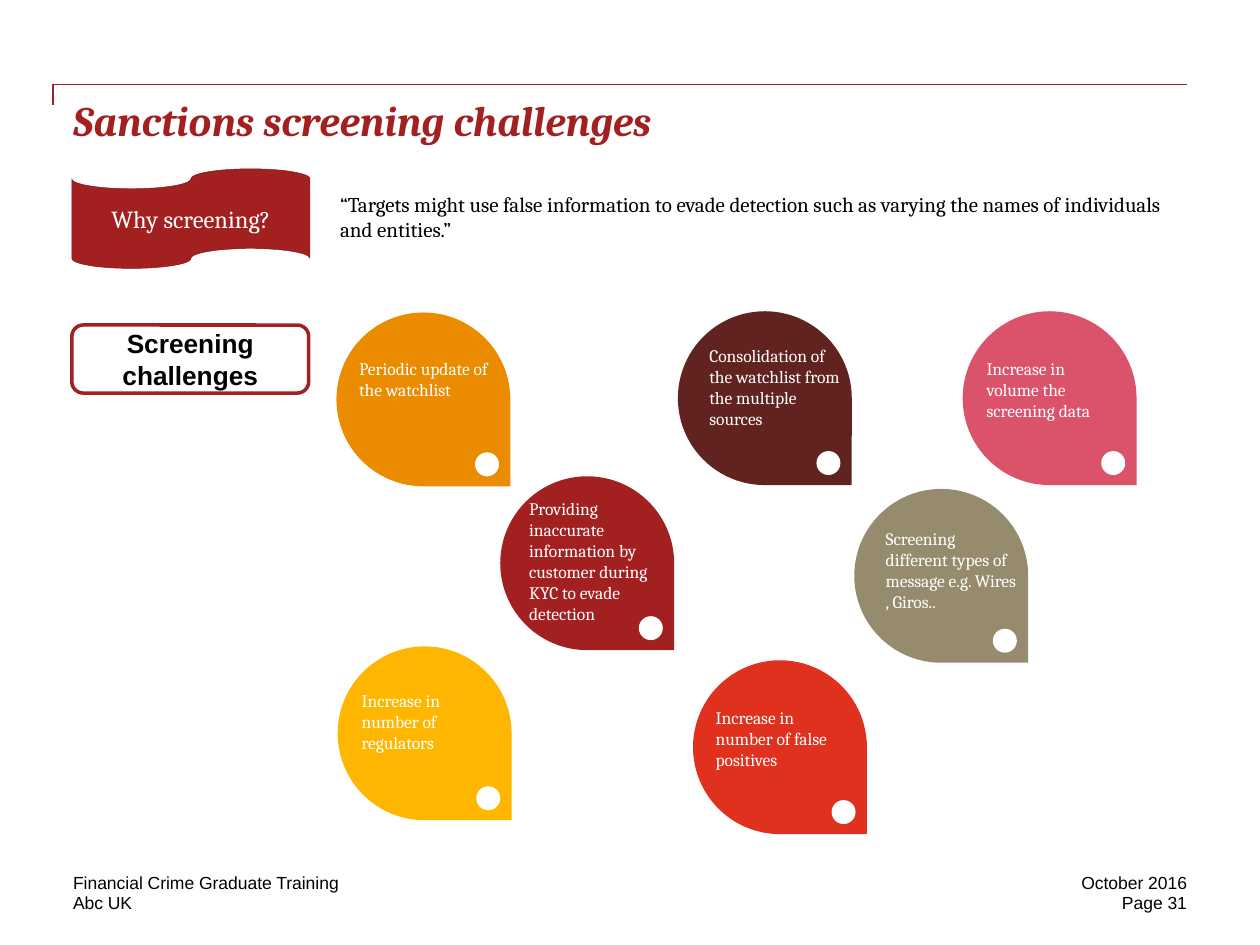
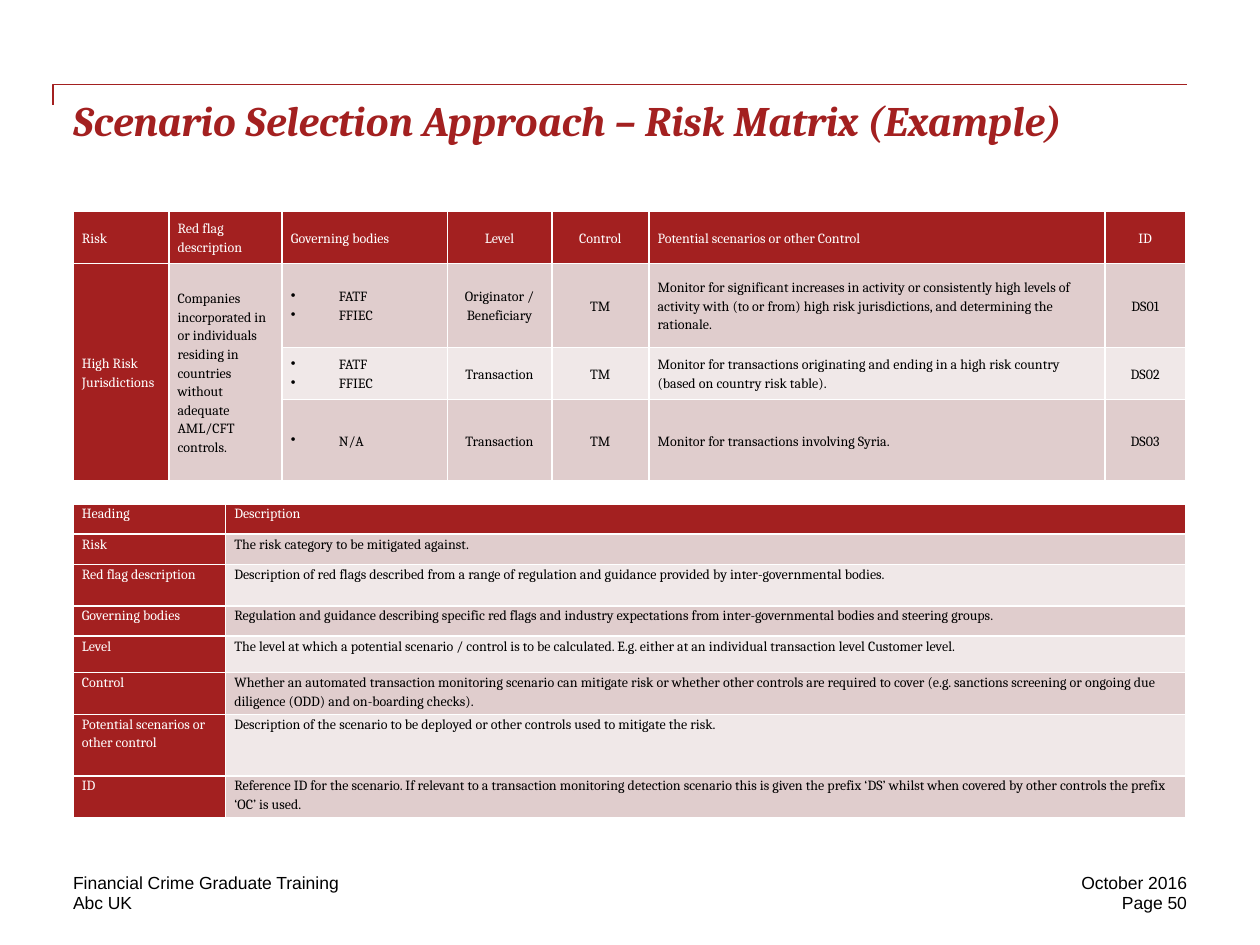
from lxml.etree import SubElement
from pptx import Presentation
from pptx.dml.color import RGBColor
from pptx.enum.shapes import MSO_SHAPE
from pptx.enum.text import MSO_ANCHOR, PP_ALIGN
from pptx.oxml.ns import qn
from pptx.util import Pt

PX = 9144  # 100 px to the inch
COLORS = {
    "red": "A32020", "dark red": "791818", "maroon": "602320",
    "orange": "EB8C00", "yellow": "FFB600", "pink": "DB536A",
    "scarlet": "E0301E", "khaki": "968C6D", "band": "E0CDCD",
    "light band": "F0E8E8", "white": "FFFFFF", "black": "000000",
}
RGB = {name: RGBColor.from_string(value) for name, value in COLORS.items()}


def add_shape(shapes, kind, left, top, width, height, fill, line=None, line_width=1):
    shape = shapes.add_shape(kind, left * PX, top * PX, width * PX, height * PX)
    shape.shadow.inherit = False
    shape.fill.solid()
    shape.fill.fore_color.rgb = RGB[fill]
    if line:
        shape.line.color.rgb = RGB[line]
        shape.line.width = Pt(line_width)
    else:
        shape.line.fill.background()
    return shape


def write_text(text_frame, text, size, font="Cambria", color="black",
               align=PP_ALIGN.LEFT, bold=False, italic=False, margins=(0, 0)):
    text_frame.word_wrap = True
    text_frame.margin_left = text_frame.margin_right = margins[0] * PX
    text_frame.margin_top = text_frame.margin_bottom = margins[1] * PX
    text_frame.text = text
    for paragraph in text_frame.paragraphs:
        paragraph.alignment = align
        for run in paragraph.runs:
            run.font.name = font
            run.font.size = Pt(size)
            run.font.color.rgb = RGB[color]
            run.font.bold = bold
            run.font.italic = italic


presentation = Presentation()
presentation.slide_width = 1000 * PX
presentation.slide_height = 750 * PX

# Shared frame: corner rule, title and footers
slides = []
for title, page in [
    ("Sanctions screening challenges", 31),
    ("Scenario Selection Approach – Risk Matrix (Example)", 50),
]:
    slide = presentation.slides.add_slide(presentation.slide_layouts[6])
    slides.append(slide)

    builder = slide.shapes.build_freeform(42, 83, scale=PX)
    builder.add_line_segments([(42, 67), (942, 67)], close=False)
    corner_rule = builder.convert_to_shape()
    corner_rule.shadow.inherit = False
    corner_rule.fill.background()
    corner_rule.line.color.rgb = RGB["red"]
    corner_rule.line.width = Pt(1)

    title_box = slide.shapes.add_textbox(58 * PX, 75 * PX, 883 * PX, 100 * PX)
    write_text(title_box.text_frame, title, 24, color="red", bold=True, italic=True)

    for left, top, width, align, text in [
        (58, 692, 575, PP_ALIGN.LEFT, "Financial Crime Graduate Training"),
        (58, 708, 283, PP_ALIGN.LEFT, "Abc UK"),
        (775, 692, 167, PP_ALIGN.RIGHT, "October 2016"),
        (775, 708, 167, PP_ALIGN.RIGHT, f"Page {page}"),
    ]:
        footer = slide.shapes.add_textbox(left * PX, top * PX, width * PX, 17 * PX)
        write_text(footer.text_frame, text, 10, "Arial", align=align)

challenges_slide, matrix_slide = slides

# Slide 1: question and quotation
shapes = challenges_slide.shapes
question = add_shape(shapes, MSO_SHAPE.FLOWCHART_PUNCHED_TAPE, 57, 134, 189, 79,
                     "red", "dark red", 0.25)
question.text_frame.vertical_anchor = MSO_ANCHOR.MIDDLE
write_text(question.text_frame, "Why screening?", 14, color="white",
           align=PP_ALIGN.CENTER, margins=(10, 5))

quotation = shapes.add_textbox(260 * PX, 147 * PX, 681 * PX, 50 * PX)
write_text(quotation.text_frame,
           "“Targets might use false information to evade detection such as "
           "varying the names of individuals and entities.”", 12, margins=(10, 5))

challenges_label = add_shape(shapes, MSO_SHAPE.ROUNDED_RECTANGLE, 57, 258, 188, 54,
                             "white", "red", 2)
challenges_label.text_frame.vertical_anchor = MSO_ANCHOR.MIDDLE
write_text(challenges_label.text_frame, "Screening challenges", 15, "Arial",
           align=PP_ALIGN.CENTER, bold=True, margins=(7, 4))

# Slide 1: teardrops, each with a dot and a text (offset from the drop, width)
for left, top, color, text_x, text_y, text_width, text in [
    (538, 247, "maroon", 25, 27, 104,
     "Consolidation of the watchlist from the multiple sources"),
    (267, 248, "orange", 18, 36, 104, "Periodic update of the watchlist"),
    (678, 388, "khaki", 25, 31, 104,
     "Screening different types of message e.g. Wires , Giros.."),
    (397, 378, "red", 23, 17, 97,
     "Providing inaccurate information by customer during KYC to evade detection"),
    (764, 247, "pink", 19, 37, 104, "Increase in volume the screening data"),
    (550, 524, "scarlet", 18, 37, 104, "Increase in number of false positives"),
    (268, 513, "yellow", 19, 35, 108, "Increase in number of regulators"),
]:
    group = shapes.add_group_shape()
    drop = add_shape(group.shapes, MSO_SHAPE.TEAR, left, top, 138, 138, color)
    drop.rotation = 90
    add_shape(group.shapes, MSO_SHAPE.OVAL, left + 110, top + 111, 19, 19, "white")
    caption = group.shapes.add_textbox((left + text_x) * PX, (top + text_y) * PX,
                                       text_width * PX, 67 * PX)
    write_text(caption.text_frame, text, 10, color="white")

# Slide 2: contents of the two tables
risk_matrix = [
    ["Risk", "Red flag description", "Governing bodies", "Level", "Control",
     "Potential scenarios or other Control", "ID"],
    ["High Risk Jurisdictions",
     "Companies incorporated in or individuals residing in countries without "
     "adequate AML/CFT controls.",
     "FATF\nFFIEC", "Originator / Beneficiary", "TM",
     "Monitor for significant increases in activity or consistently high levels of "
     "activity with (to or from) high risk jurisdictions, and determining the rationale.",
     "DS01"],
    ["", "", "FATF\nFFIEC", "Transaction", "TM",
     "Monitor for transactions originating and ending in a high risk country "
     "(based on country risk table).", "DS02"],
    ["", "", "N/A", "Transaction", "TM",
     "Monitor for transactions involving Syria.", "DS03"],
]
headings = [
    ["Heading", "Description"],
    ["Risk", "The risk category to be mitigated against."],
    ["Red flag description",
     "Description of red flags described from a range of regulation and guidance "
     "provided by inter-governmental bodies."],
    ["Governing bodies",
     "Regulation and guidance describing specific red flags and industry expectations "
     "from inter-governmental bodies and steering groups."],
    ["Level",
     "The level at which a potential scenario / control is to be calculated. "
     "E.g. either at an individual transaction level Customer level."],
    ["Control",
     "Whether an automated transaction monitoring scenario can mitigate risk or whether "
     "other controls are required to cover (e.g. sanctions screening or ongoing due "
     "diligence (ODD) and on-boarding checks)."],
    ["Potential scenarios or other control",
     "Description of the scenario to be deployed or other controls used to mitigate "
     "the risk."],
    ["ID",
     "Reference ID for the scenario. If relevant to a transaction monitoring detection "
     "scenario this is given the prefix ‘DS’ whilst when covered by other controls the "
     "prefix ‘OC’ is used."],
]

# Slide 2: tables with red headings and banded rows
for top, widths, heights, anchor, margin_y, centred, bulleted, merged, contents in [
    (168, [76, 90, 131, 83, 77, 362, 64], [41, 67, 41, 65], MSO_ANCHOR.MIDDLE, 4,
     (3, 4, 6), (2,), (0, 1), risk_matrix),
    (400, [121, 762], [24, 24, 33, 24, 29, 33, 49, 33], MSO_ANCHOR.TOP, 0,
     (), (), (), headings),
]:
    frame = matrix_slide.shapes.add_table(
        len(heights), len(widths), 58 * PX, top * PX, sum(widths) * PX, sum(heights) * PX)
    table = frame.table
    table.first_row = table.horz_banding = False
    for column, width in zip(table.columns, widths):
        column.width = width * PX
    for row, height in zip(table.rows, heights):
        row.height = height * PX

    for row_index, row_texts in enumerate(contents):
        for column_index, text in enumerate(row_texts):
            cell = table.cell(row_index, column_index)
            heading = row_index == 0 or column_index == 0
            band = "band" if row_index % 2 else "light band"
            cell.vertical_anchor = anchor
            cell.margin_left = cell.margin_right = 7 * PX
            cell.margin_top = cell.margin_bottom = margin_y * PX

            # White borders go before the fill
            properties = cell._tc.get_or_add_tcPr()
            for side in ("a:lnL", "a:lnR", "a:lnT", "a:lnB"):
                border = SubElement(properties, qn(side), w=str(Pt(1)))
                border_fill = SubElement(border, qn("a:solidFill"))
                SubElement(border_fill, qn("a:srgbClr"), val=COLORS["white"])
            cell.fill.solid()
            cell.fill.fore_color.rgb = RGB["red" if heading else band]

            if not text:
                continue
            align = PP_ALIGN.CENTER if column_index in centred else PP_ALIGN.LEFT
            write_text(cell.text_frame, text, 8, align=align,
                       color="white" if heading else "black", margins=(7, margin_y))
            for paragraph in cell.text_frame.paragraphs:
                paragraph.line_spacing = 1.15
                if row_index and column_index in bulleted:
                    bullet_properties = paragraph._p.get_or_add_pPr()
                    bullet_properties.set("marL", str(38 * PX))
                    bullet_properties.set("indent", str(-38 * PX))
                    SubElement(bullet_properties, qn("a:buChar"), char="•")

    for column_index in merged:
        table.cell(1, column_index).merge(table.cell(3, column_index))

# A cell's text frame keeps its margins on the body, so restore wrapping defaults
presentation.save("out.pptx")
